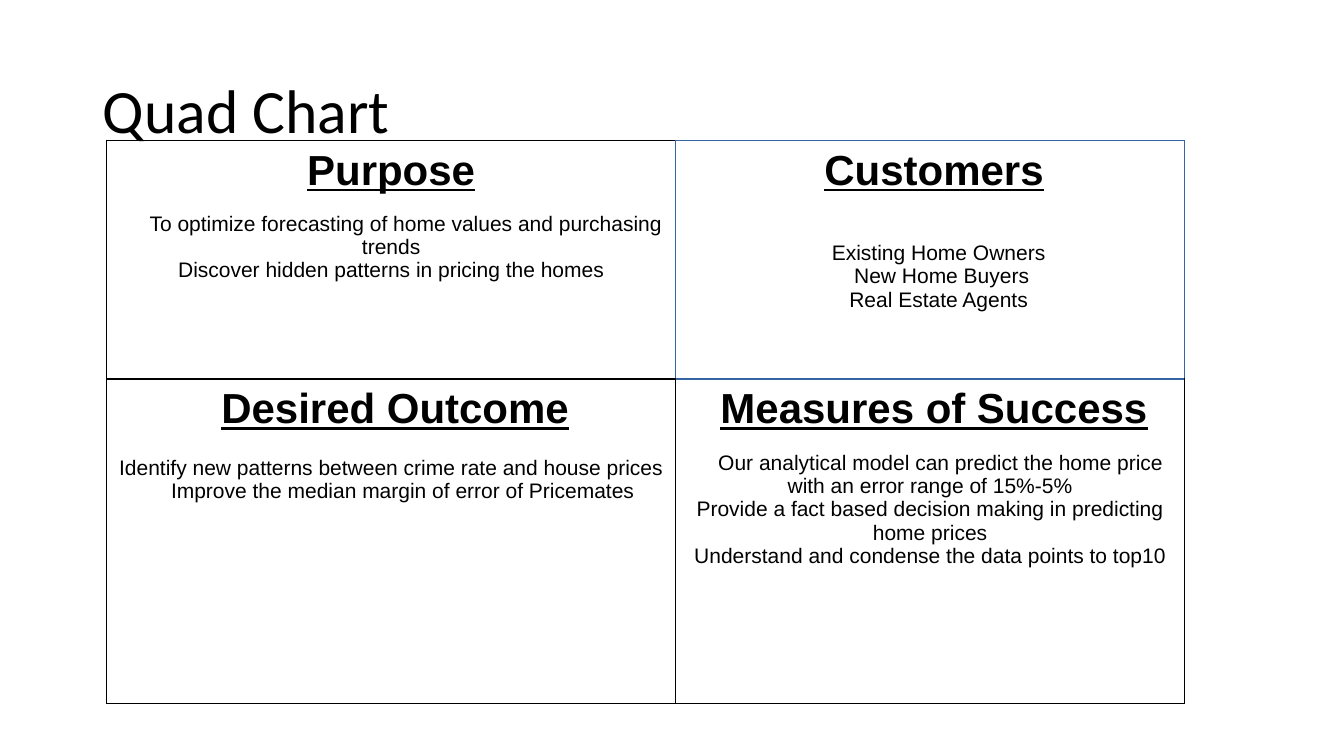
from pptx import Presentation
from pptx.dml.color import RGBColor
from pptx.enum.text import MSO_ANCHOR, PP_ALIGN
from pptx.oxml.ns import qn
from pptx.util import Inches, Pt
from lxml.etree import SubElement

BLACK, BLUE = "000000", "3464A3"
COLUMN_WIDTHS = (5.64, 5.05)
ROW_HEIGHTS = (2.37, 3.22)

QUADRANTS = [
    [
        dict(heading="Purpose", indent=0, gap=13, borders=(BLACK, BLACK, BLUE, BLACK), points=[
            ("To optimize forecasting of home values and purchasing trends", 0.29),
            ("Discover hidden patterns in pricing the homes", 0)]),
        dict(heading="Customers", indent=0.08, gap=34, borders=(BLUE,) * 4, points=[
            ("Existing Home Owners", 0.17),
            ("New Home Buyers", 0.23),
            ("Real Estate Agents", 0.17)]),
    ],
    [
        dict(heading="Desired Outcome", indent=0.08, gap=17, borders=(BLACK,) * 4, points=[
            ("Identify new patterns between crime rate and house prices", 0),
            ("Improve the median margin of error of Pricemates", 0.23)]),
        dict(heading="Measures of Success", indent=0.08, gap=13,
             borders=(BLACK, BLUE, BLACK, BLACK), points=[
                 ("Our analytical model can predict the home price with an error range of 15%-5%", 0.21),
                 ("Provide a fact based decision making in predicting home prices", 0),
                 ("Understand and condense the data points to top10", 0)]),
    ],
]


def color(value):
    return RGBColor.from_string(value)


def style(para, size, name="Arial", bold=False):
    font = para.font
    font.size, font.name, font.bold, font.underline = Pt(size), name, bold, bold
    font.color.rgb = color(BLACK)


def add_line(para, text, size, indent, bold=False):
    para.text = text
    para.alignment = PP_ALIGN.CENTER
    style(para, size, bold=bold)
    properties = para._p.get_or_add_pPr()
    properties.set("marL", "0")
    properties.set("indent", str(int(Inches(indent))))


def set_borders(cell, borders):
    properties = cell._tc.get_or_add_tcPr()
    for position, (side, value) in enumerate(zip(("lnL", "lnR", "lnT", "lnB"), borders)):
        line = properties.makeelement(qn(f"a:{side}"), {"w": str(int(Pt(1)))})
        properties.insert(position, line)
        fill = SubElement(line, qn("a:solidFill"))
        SubElement(fill, qn("a:srgbClr"), val=value)


def fill_cell(cell, quadrant):
    cell.fill.background()
    cell.margin_left = cell.margin_right = cell.margin_top = cell.margin_bottom = Inches(0.07)
    left, top, right, bottom = quadrant["borders"]
    set_borders(cell, (left, right, top, bottom))
    frame = cell.text_frame
    heading = frame.paragraphs[0]
    add_line(heading, quadrant["heading"], 30, quadrant["indent"], bold=True)
    heading.space_after = Pt(quadrant["gap"])
    for text, indent in quadrant["points"]:
        add_line(frame.add_paragraph(), text, 15, indent)


deck = Presentation()
deck.slide_width, deck.slide_height = Inches(13.33), Inches(7.5)
page = deck.slides.add_slide(deck.slide_layouts[5])

title = page.shapes.title
title.left, title.top, title.width, title.height = map(Inches, (0.92, 0.4, 11.5, 1.45))
title.text_frame.text = "Quad Chart"
title.text_frame.vertical_anchor = MSO_ANCHOR.MIDDLE
title_para = title.text_frame.paragraphs[0]
title_para.alignment = PP_ALIGN.LEFT
title_para.line_spacing = 0.9
style(title_para, 44, "Calibri")

table = page.shapes.add_table(
    len(ROW_HEIGHTS), len(COLUMN_WIDTHS), Inches(1.06), Inches(1.39),
    Inches(sum(COLUMN_WIDTHS)), Inches(sum(ROW_HEIGHTS))).table
table.first_row = table.horz_banding = False
for column, width in zip(table.columns, COLUMN_WIDTHS):
    column.width = Inches(width)
for row, height, quadrants in zip(table.rows, ROW_HEIGHTS, QUADRANTS):
    row.height = Inches(height)
    for cell, quadrant in zip(row.cells, quadrants):
        fill_cell(cell, quadrant)

deck.save("out.pptx")
